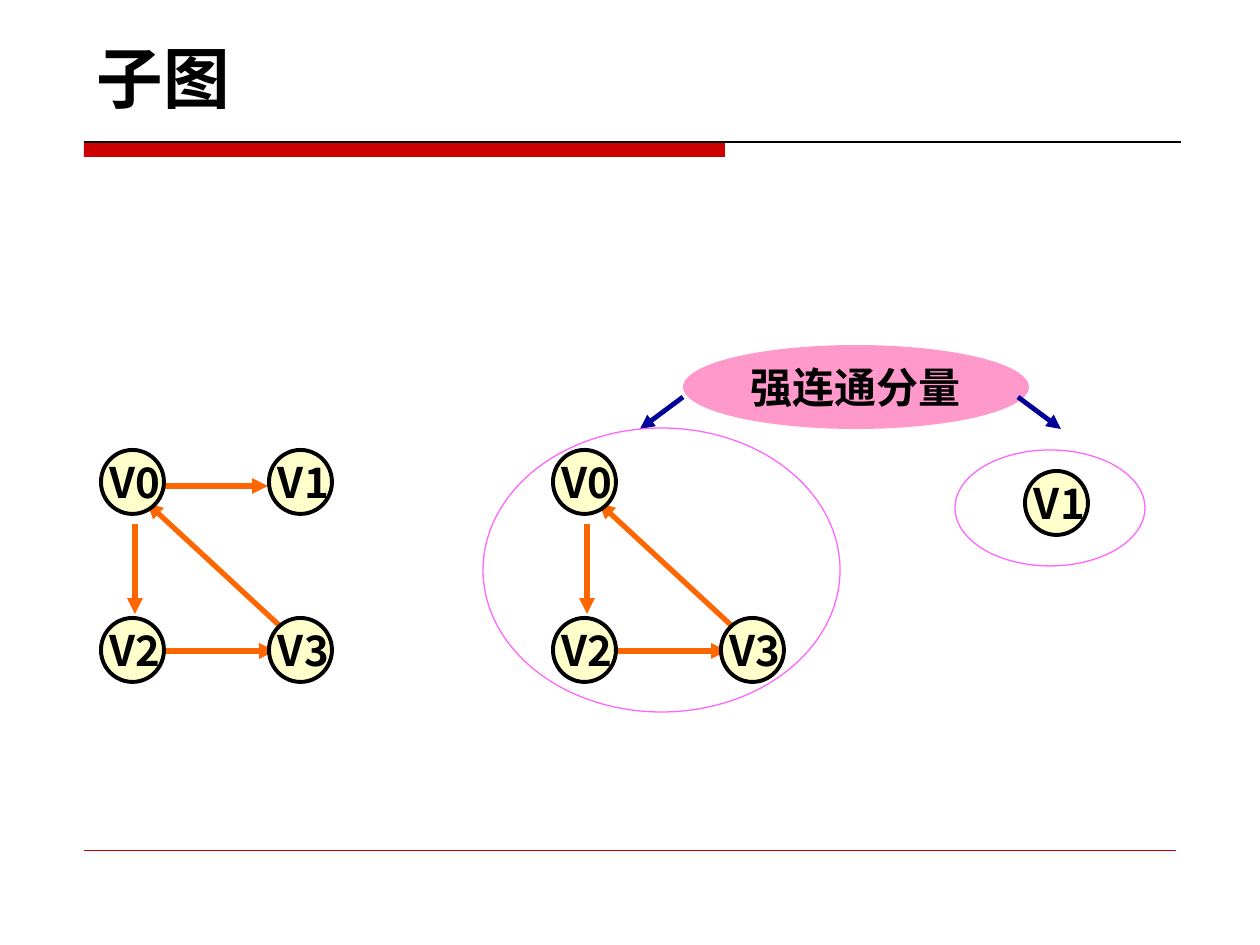
"""Build the subgraph slide: a directed graph and its strongly connected components."""
from dataclasses import dataclass

from lxml import etree
from pptx import Presentation
from pptx import util as u
from pptx.dml.color import RGBColor
from pptx.enum import shapes, text
from pptx.oxml import ns

EMU_PER_PX = 914400 / 126


@dataclass(frozen=True)
class Theme:
    accent: str = "CC0000"
    ink: str = "000000"
    node: str = "FFFFCC"
    edge: str = "FF6600"
    pointer: str = "000099"
    callout: str = "FF99CC"
    outline: str = "FF66FF"
    title_size: int = 38
    label_size: int = 24
    title_font: str = "DejaVu Sans"
    callout_font: str = "Times New Roman"
    node_font: str = "Noto Sans CJK SC"


@dataclass(frozen=True)
class Box:
    left: int
    top: int
    width: int
    height: int


@dataclass(frozen=True)
class Arrow:
    x1: int
    y1: int
    x2: int
    y2: int


@dataclass(frozen=True)
class Graph:
    left: int
    top: int
    nodes: dict[str, tuple[int, int]]
    edges: tuple[str, ...] = ()


THEME = Theme()
STEP = 168
NODE_WIDTH, NODE_HEIGHT = 63, 64
EDGES = {
    "V0-V2": Arrow(34, 74, 34, 164),
    "V2-V3": Arrow(64, 201, 174, 201),
    "V0-V1": Arrow(64, 36, 167, 36),
    "V3-V0": Arrow(193, 189, 46, 53),
}
GRAPHS = (
    Graph(101, 450, {"V0": (0, 0), "V1": (1, 0), "V2": (0, 1), "V3": (1, 1)}, tuple(EDGES)),
    Graph(553, 450, {"V0": (0, 0), "V2": (0, 1), "V3": (1, 1)}, ("V0-V2", "V2-V3", "V3-V0")),
    Graph(1025, 471, {"V1": (0, 0)}),
)
OUTLINES = (Box(483, 428, 357, 284), Box(955, 450, 190, 116))
POINTERS = (Arrow(683, 397, 640, 429), Arrow(1018, 397, 1061, 429))


def px(length: int) -> u.Emu:
    """Turn px into EMU."""
    return u.Emu(round(length * EMU_PER_PX))


def set_values(target, values: dict) -> None:
    """Set each named attribute on the target."""
    for name, value in values.items():
        setattr(target, name, value)


def write(shape, words: str, font: str, size: int, align, frame_format: dict) -> None:
    """Write one bold line of text into a shape."""
    frame = shape.text_frame
    set_values(frame, {"auto_size": text.MSO_AUTO_SIZE.NONE, **frame_format})
    para = frame.paragraphs[0]
    para.alignment = align
    span = para.add_run()
    span.text = words
    set_values(span.font, {"name": font, "size": u.Pt(size), "bold": True})
    span.font.color.rgb = RGBColor.from_string(THEME.ink)
    east_asian = etree.SubElement(span.font._element, ns.qn("a:ea"))
    east_asian.set("typeface", THEME.node_font)


def add_shape(page, kind, box: Box, fill: str = "", line: str = "", weight: float = 0.75):
    """Add a preset shape with an optional fill and line."""
    shape = page.shapes.add_shape(kind, px(box.left), px(box.top), px(box.width), px(box.height))
    shape.shadow.inherit = False
    if fill:
        shape.fill.solid()
        shape.fill.fore_color.rgb = RGBColor.from_string(fill)
    else:
        shape.fill.background()
    if line:
        shape.line.color.rgb = RGBColor.from_string(line)
        shape.line.width = u.Pt(weight)
    else:
        shape.line.fill.background()
    return shape


def add_line(page, arrow: Arrow, color: str, weight: float, head: bool = True) -> None:
    """Add a straight connector, with an arrowhead at its end if wanted."""
    ends = (px(end) for end in (arrow.x1, arrow.y1, arrow.x2, arrow.y2))
    line = page.shapes.add_connector(shapes.MSO_CONNECTOR.STRAIGHT, *ends)
    line.line.color.rgb = RGBColor.from_string(color)
    line.line.width = u.Pt(weight)
    if head:
        etree.SubElement(line.line._get_or_add_ln(), ns.qn("a:tailEnd")).set("type", "triangle")
    etree.SubElement(line._element.spPr, ns.qn("a:effectLst"))


def add_node(page, name: str, left: int, top: int) -> None:
    """Add a round graph node and its label."""
    box = Box(left, top, NODE_WIDTH, NODE_HEIGHT)
    add_shape(page, shapes.MSO_SHAPE.OVAL, box, THEME.node, THEME.ink, 2.25)
    label = page.shapes.add_textbox(px(left - 7), px(top), px(89), px(63))
    write(label, name, THEME.node_font, THEME.label_size, text.PP_ALIGN.LEFT,
          {"word_wrap": True, "margin_left": px(16)})


def add_graph(page, graph: Graph) -> None:
    """Add the edges of a graph, then its nodes on top."""
    for name in graph.edges:
        edge = EDGES[name]
        moved = Arrow(graph.left + edge.x1, graph.top + edge.y1,
                      graph.left + edge.x2, graph.top + edge.y2)
        add_line(page, moved, THEME.edge, 3)
    for name, (column, row) in graph.nodes.items():
        add_node(page, name, graph.left + column * STEP, graph.top + row * STEP)


def add_title(page, words: str) -> None:
    """Place and format the title with its rules."""
    title = page.shapes.title
    set_values(title, {"left": px(84), "top": px(15), "width": px(827), "height": px(108)})
    write(title, words, THEME.title_font, THEME.title_size, text.PP_ALIGN.LEFT,
          {"vertical_anchor": text.MSO_ANCHOR.BOTTOM, "word_wrap": True})
    add_shape(page, shapes.MSO_SHAPE.RECTANGLE, Box(84, 142, 641, 15), THEME.accent)
    add_line(page, Arrow(84, 142, 1181, 142), THEME.ink, 0.75, head=False)
    add_line(page, Arrow(84, 850, 1176, 850), THEME.accent, 0.25, head=False)


def main() -> None:
    """Build and save the deck."""
    deck = Presentation()
    set_values(deck, {"slide_width": px(1260), "slide_height": px(945)})
    page = deck.slides.add_slide(deck.slide_layouts[5])
    add_title(page, "子图")
    callout = add_shape(page, shapes.MSO_SHAPE.OVAL, Box(683, 345, 346, 84), THEME.callout)
    write(callout, "强连通分量", THEME.callout_font, THEME.label_size, text.PP_ALIGN.CENTER,
          {"vertical_anchor": text.MSO_ANCHOR.MIDDLE, "word_wrap": False})
    for pointer in POINTERS:
        add_line(page, pointer, THEME.pointer, 2.75)
    for graph in GRAPHS:
        add_graph(page, graph)
    for outline in OUTLINES:
        add_shape(page, shapes.MSO_SHAPE.OVAL, outline, line=THEME.outline)
    deck.save("out.pptx")


if __name__ == "__main__":
    main()
